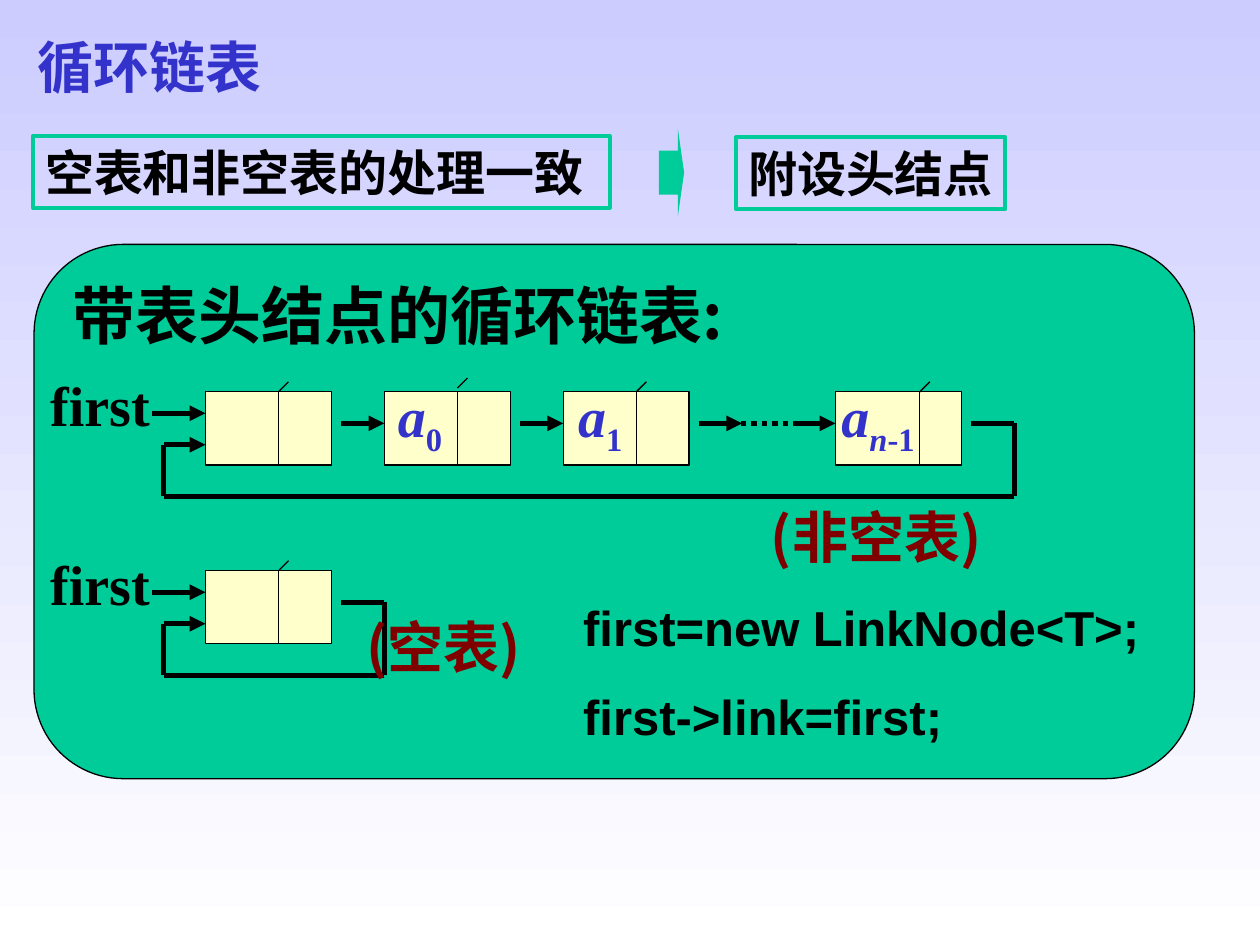
from lxml import etree
from pptx import Presentation
from pptx.dml.color import RGBColor
from pptx.enum.dml import MSO_LINE
from pptx.enum.shapes import MSO_CONNECTOR, MSO_SHAPE
from pptx.enum.text import MSO_ANCHOR, MSO_AUTO_SIZE, PP_ALIGN
from pptx.oxml.ns import qn
from pptx.util import Inches, Pt

RECTANGLE = MSO_SHAPE.RECTANGLE
ROUNDED = MSO_SHAPE.ROUNDED_RECTANGLE
RIGHT_ARROW = MSO_SHAPE.RIGHT_ARROW
STRAIGHT = MSO_CONNECTOR.STRAIGHT
ROUND_DOT = MSO_LINE.ROUND_DOT
TOP, LEFT = MSO_ANCHOR.TOP, PP_ALIGN.LEFT
FIT_SHAPE = MSO_AUTO_SIZE.SHAPE_TO_FIT_TEXT

SANS, SERIF, CHINESE = "Arial", "Times New Roman", "Noto Sans CJK SC"
BLACK, BLUE, GREEN, CREAM, MAROON = "000000", "3333CC", "00CC99", "FFFFCC", "800000"
NODE_WIDTH, NODE_HEIGHT, NODE_PITCH = 1, 0.58, 1.42
LINK_START, LINK_LENGTH, LINK_DROP = 1.08, 0.34, 0.25


def color(value):
    """Turn a hex string into a colour."""
    return RGBColor.from_string(value)


def add_run(paragraph, text, size, font_name, fill, italic=False, subscript=False):
    """Append one bold run to a paragraph."""
    run = paragraph.add_run()
    run.text = text
    font = run.font
    font.size, font.name, font.bold, font.italic = Pt(size), font_name, True, italic
    font.color.rgb = color(fill)
    properties = run._r.get_or_add_rPr()
    etree.SubElement(properties, qn("a:ea")).set("typeface", CHINESE)
    if subscript:
        properties.set("baseline", "-25000")


def prepare_frame(shape, wrap=True):
    """Set the frame to top left text and return its first paragraph."""
    frame = shape.text_frame
    frame.word_wrap = wrap
    frame.vertical_anchor = TOP
    paragraph = frame.paragraphs[0]
    paragraph.alignment = LEFT
    return paragraph


def add_text(slide, box, wrap=False):
    """Add a text box and return its first paragraph."""
    shape = slide.shapes.add_textbox(*map(Inches, box))
    paragraph = prepare_frame(shape, wrap)
    shape.text_frame.auto_size = FIT_SHAPE
    return paragraph


def add_block(slide, kind, box, fill=None, line=None, width=0.75):
    """Add a flat preset shape."""
    shape = slide.shapes.add_shape(kind, *map(Inches, box))
    shape.shadow.inherit = False
    if fill:
        shape.fill.solid()
        shape.fill.fore_color.rgb = color(fill)
    else:
        shape.fill.background()
    if line:
        shape.line.color.rgb = color(line)
        shape.line.width = Pt(width)
    else:
        shape.line.fill.background()
    return shape


def add_line(slide, start, end, width=3, arrow=False, dotted=False):
    """Draw a straight black line between two points."""
    connector = slide.shapes.add_connector(STRAIGHT, *map(Inches, (*start, *end)))
    connector.line.color.rgb = color(BLACK)
    connector.line.width = Pt(width)
    if dotted:
        connector.line.dash_style = ROUND_DOT
    if arrow:
        tail = etree.SubElement(connector.line._get_or_add_ln(), qn("a:tailEnd"))
        tail.set("type", "triangle")
    etree.SubElement(connector._element.spPr, qn("a:effectLst"))


def add_background(slide):
    """Fade the slide from lavender to white."""
    fill = slide.background.fill
    fill.gradient()
    fill.gradient_angle = 270
    for stop, value in zip(fill.gradient_stops, ("CCCCFF", "FFFFFF")):
        stop.color.rgb = color(value)


def add_reasoning(slide, box):
    """Place the goal, the arrow and the solution in one row."""
    left, top, width, height = box
    frames = (
        ((left, top + 0.06, 4.58, 0.57), "空表和非空表的处理一致", True),
        ((left + width - 2.14, top + 0.07, 2.14, 0.57), "附设头结点", False),
    )
    for frame_box, text, wrap in frames:
        shape = add_block(slide, RECTANGLE, frame_box, line=GREEN, width=2.25)
        add_run(prepare_frame(shape, wrap), text, 28, CHINESE, BLACK)
    arrow = add_block(slide, RIGHT_ARROW, (left + 4.97, top, 0.2, height), GREEN)
    arrow.adjustments[1] = 0.25


def add_panel(slide, box):
    """Place the rounded panel with its heading."""
    panel = add_block(slide, ROUNDED, box, GREEN, BLACK)
    panel.adjustments[0] = 0.167
    add_run(prepare_frame(panel), "带表头结点的循环链表:", 36, CHINESE, BLACK)


def add_node(slide, left, top, split=0.58, tick_rise=0):
    """Draw a list node with its data and link cells."""
    add_block(slide, RECTANGLE, (left, top, NODE_WIDTH, NODE_HEIGHT), CREAM, BLACK)
    middle, tick = left + split, top - tick_rise
    add_line(slide, (middle, top), (middle, top + NODE_HEIGHT), 0.75)
    add_line(slide, (middle, tick), (middle + 0.08, tick - 0.08), 0.75)


def add_circuit(slide, left, top, last_left):
    """Draw the first pointer and the path from the last node to the head."""
    add_run(add_text(slide, (left - 1.33, top - 0.22, 0.99, 0.64)), "first", 32, SERIF, BLACK)
    add_line(slide, (left - 0.42, top + 0.17), (left, top + 0.17), arrow=True)
    start, exit_y = last_left + LINK_START, top + LINK_DROP
    right, entry, bottom = start + LINK_LENGTH, left - 0.33, top + 0.83
    path = [(start, exit_y), (right, exit_y), (right, bottom),
            (entry, bottom), (entry, top + 0.42), (left, top + 0.42)]
    for begin, end in zip(path, path[1:]):
        add_line(slide, begin, end, arrow=end == path[-1])


def add_filled_list(slide, left, top):
    """Draw the circular list that holds elements."""
    last_left, link_y = left + 5, top + LINK_DROP
    node_lefts = [left + index * NODE_PITCH for index in range(3)]
    for node_left, tick_rise in zip(node_lefts, (0, 0.03, 0)):
        add_node(slide, node_left, top, tick_rise=tick_rise)
        start = node_left + LINK_START
        add_line(slide, (start, link_y), (start + LINK_LENGTH, link_y), arrow=True)
    gap = left + 4.25
    add_line(slide, (gap, link_y), (gap + 0.5, link_y), dotted=True)
    add_line(slide, (last_left - 0.33, link_y), (last_left, link_y), arrow=True)
    add_node(slide, last_left, top, split=0.67)
    add_circuit(slide, left, top, last_left)
    labels = (
        (node_lefts[1] + 0.01, 0.65, (("0", False),)),
        (node_lefts[2] + 0.02, 0.55, (("1", False),)),
        (last_left - 0.05, 0.78, (("n", True), ("-1", False))),
    )
    for label_left, width, subscripts in labels:
        paragraph = add_text(slide, (label_left, top - 0.13, width, 0.71))
        add_run(paragraph, "a", 32, SERIF, BLUE, italic=True)
        for text, italic in subscripts:
            add_run(paragraph, text, 32, SERIF, BLUE, italic, subscript=True)
    add_run(add_text(slide, (left + 4.39, top + 0.83, 2.28, 0.64)), "(非空表)", 32, CHINESE, MAROON)


def add_empty_list(slide, left, top):
    """Draw the circular list that has only its head node."""
    add_node(slide, left, top)
    add_circuit(slide, left, top, left)
    add_run(add_text(slide, (left + 1.18, top + 0.28, 1.84, 0.64)), "(空表)", 32, CHINESE, MAROON)


def add_code(slide, box):
    """Place the statements that build an empty list."""
    paragraph = add_text(slide, box, wrap=True)
    add_run(paragraph, "first=new LinkNode<T>;", 28, SANS, BLACK)
    paragraph = slide.shapes[-1].text_frame.add_paragraph()
    paragraph.space_before = Pt(17.5)
    add_run(paragraph, "first->link=first;", 28, SANS, BLACK)


def main():
    """Build and save the slide."""
    presentation = Presentation()
    presentation.slide_width, presentation.slide_height = Inches(10), Inches(7.5)
    slide = presentation.slides.add_slide(presentation.slide_layouts[6])
    add_background(slide)
    add_run(add_text(slide, (0.2, 0.21, 4.92, 0.64), wrap=True), "循环链表", 32, SANS, BLUE)
    add_reasoning(slide, (0.26, 1.02, 7.72, 0.7))
    add_panel(slide, (0.27, 1.94, 9.21, 4.24))
    add_filled_list(slide, 1.63, 3.11)
    add_empty_list(slide, 1.63, 4.53)
    add_code(slide, (4.53, 4.69, 5.12, 1.28))
    presentation.save("out.pptx")


if __name__ == "__main__":
    main()
